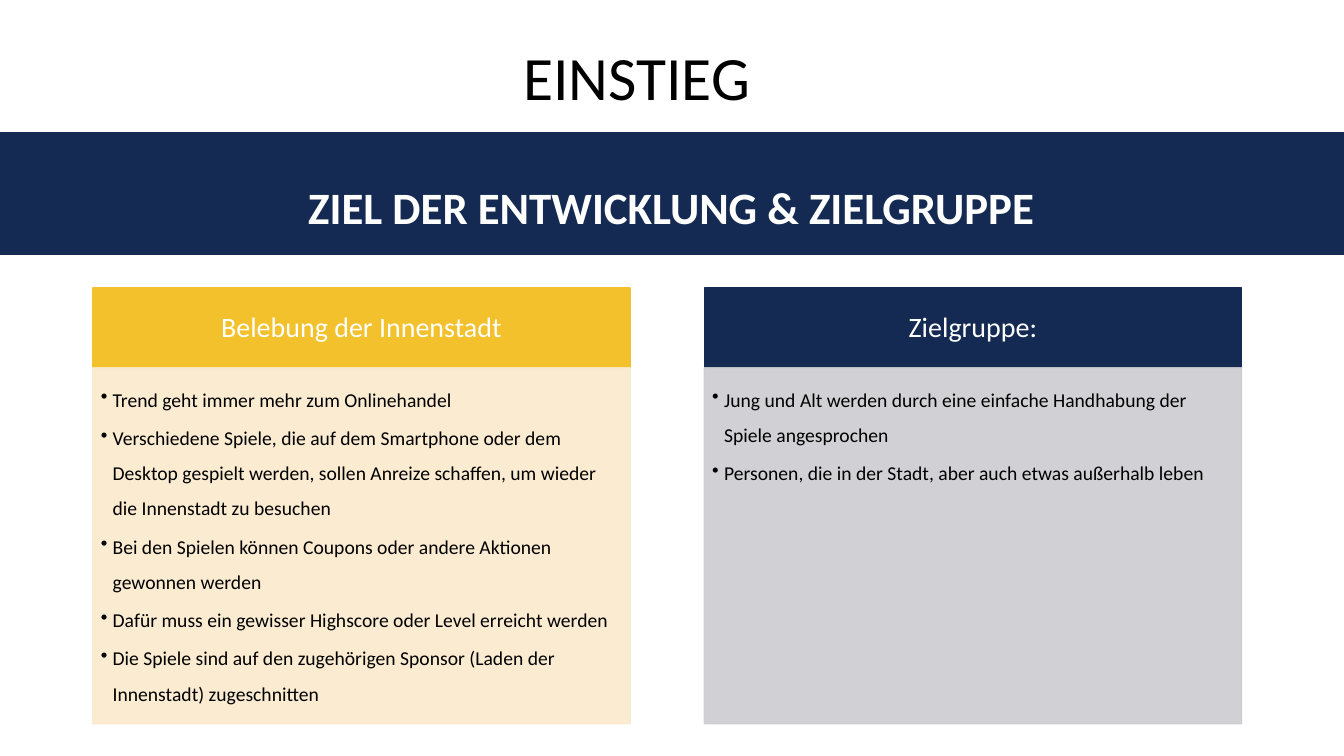
"""Build the slide on the development goal and its target group."""
from dataclasses import dataclass

from lxml.etree import SubElement
from pptx import Presentation
from pptx.dml.color import RGBColor
from pptx.enum.shapes import MSO_SHAPE
from pptx.enum.text import MSO_ANCHOR, PP_ALIGN
from pptx.oxml.ns import qn
from pptx.util import Cm, Pt


@dataclass(frozen=True)
class Theme:
    """Colours, font and type sizes of the slide."""
    navy: str = "142A52"
    gold: str = "F2C12C"
    cream: str = "FAE9CD"
    grey: str = "CCCDD1"
    white: str = "FFFFFF"
    black: str = "000000"
    font: str = "Calibri"
    title: int = 44
    subtitle: int = 32
    heading: int = 20
    body: int = 14


THEME = Theme()
SLIDE_WIDTH, SLIDE_HEIGHT = 33.87, 19.05
COLUMN_LEFT, COLUMN_STEP, COLUMN_WIDTH = 2.34, 15.41, 13.54
HEADING_TOP, HEADING_HEIGHT, BODY_HEIGHT = 7.26, 2.01, 8.97
HEADING_INSETS = (0.41, 0.23, 0.41, 0.23)
BODY_INSETS = (0.2, 0.2, 0.28, 0.3)
BULLET_INDENT = 0.3

COLUMNS = [
    ("Belebung der Innenstadt", THEME.gold, THEME.cream, [
        "Trend geht immer mehr zum Onlinehandel",
        "Verschiedene Spiele, die auf dem Smartphone oder dem Desktop gespielt "
        "werden, sollen Anreize schaffen, um wieder die Innenstadt zu besuchen",
        "Bei den Spielen können Coupons oder andere Aktionen gewonnen werden",
        "Dafür muss ein gewisser Highscore oder Level erreicht werden",
        "Die Spiele sind auf den zugehörigen Sponsor (Laden der Innenstadt) "
        "zugeschnitten",
    ]),
    ("Zielgruppe:", THEME.navy, THEME.grey, [
        "Jung und Alt werden durch eine einfache Handhabung der Spiele "
        "angesprochen",
        "Personen, die in der Stadt, aber auch etwas außerhalb leben",
    ]),
]


def add_panel(slide, box, color, opacity=100):
    """Add a filled rectangle with a matching outline."""
    panel = slide.shapes.add_shape(MSO_SHAPE.RECTANGLE, *map(Cm, box))
    panel.shadow.inherit = False
    panel.fill.solid()
    panel.fill.fore_color.rgb = RGBColor.from_string(color)
    panel.line.color.rgb = RGBColor.from_string(color)
    panel.line.width = Pt(1)
    if opacity < 100:
        for tint in panel.element.spPr.iter(qn("a:srgbClr")):
            SubElement(tint, qn("a:alpha"), val=str(opacity * 1000))
    return panel


def set_frame(frame, anchor, insets):
    """Set wrapping, anchor and insets of a text frame."""
    frame.word_wrap = True
    frame.vertical_anchor = anchor
    (frame.margin_left, frame.margin_top,
     frame.margin_right, frame.margin_bottom) = map(Cm, insets)


def write_line(paragraph, text, size, color, bold=False):
    """Write one centred line into a paragraph."""
    paragraph.alignment = PP_ALIGN.CENTER
    paragraph.line_spacing = 0.9
    add_words(paragraph, text, size, color, bold)


def add_words(paragraph, text, size, color, bold=False):
    """Add one formatted run."""
    words = paragraph.add_run()
    words.text = text
    words.font.name = THEME.font
    words.font.size = Pt(size)
    words.font.bold = bold
    words.font.color.rgb = RGBColor.from_string(color)


def add_headline(slide, box, text, size, color, anchor, bold=False):
    """Add a text box that holds a single centred line."""
    frame = slide.shapes.add_textbox(*map(Cm, box)).text_frame
    set_frame(frame, anchor, (0.25, 0.13, 0.25, 0.13))
    write_line(frame.paragraphs[0], text, size, color, bold)


def add_bullets(frame, points):
    """Fill a text frame with bulleted points."""
    for index, point in enumerate(points):
        bullet = frame.add_paragraph() if index else frame.paragraphs[0]
        properties = bullet._p.get_or_add_pPr()
        properties.set("marL", str(Cm(BULLET_INDENT)))
        properties.set("indent", str(-Cm(BULLET_INDENT)))
        SubElement(properties, qn("a:buChar"), char="•")
        bullet.alignment = PP_ALIGN.LEFT
        bullet.line_spacing = 1.5
        bullet.space_after = Pt(0.15 * THEME.body)
        add_words(bullet, point, THEME.body, THEME.black)


def add_column(slide, left, title, heading_color, body_color, points):
    """Add a heading panel with a panel of bullets below it."""
    heading = add_panel(
        slide, (left, HEADING_TOP, COLUMN_WIDTH, HEADING_HEIGHT), heading_color)
    set_frame(heading.text_frame, MSO_ANCHOR.MIDDLE, HEADING_INSETS)
    write_line(heading.text_frame.paragraphs[0], title, THEME.heading, THEME.white)

    body_top = HEADING_TOP + HEADING_HEIGHT
    body = add_panel(
        slide, (left, body_top, COLUMN_WIDTH, BODY_HEIGHT), body_color, opacity=90)
    set_frame(body.text_frame, MSO_ANCHOR.TOP, BODY_INSETS)
    add_bullets(body.text_frame, points)


def main():
    """Build and save the presentation."""
    deck = Presentation()
    deck.slide_width, deck.slide_height = Cm(SLIDE_WIDTH), Cm(SLIDE_HEIGHT)
    slide = deck.slides.add_slide(deck.slide_layouts[6])

    add_panel(slide, (0, 3.35, SLIDE_WIDTH, 3.07), THEME.navy)
    add_headline(slide, (6.27, 0.2, 19.56, 3.68), "EINSTIEG",
                 THEME.title, THEME.black, MSO_ANCHOR.MIDDLE)
    add_headline(slide, (6.88, 3.73, 20.09, 2.29),
                 "ZIEL DER ENTWICKLUNG & ZIELGRUPPE",
                 THEME.subtitle, THEME.white, MSO_ANCHOR.BOTTOM, bold=True)
    for index, column in enumerate(COLUMNS):
        add_column(slide, COLUMN_LEFT + index * COLUMN_STEP, *column)

    deck.save("out.pptx")


if __name__ == "__main__":
    main()
